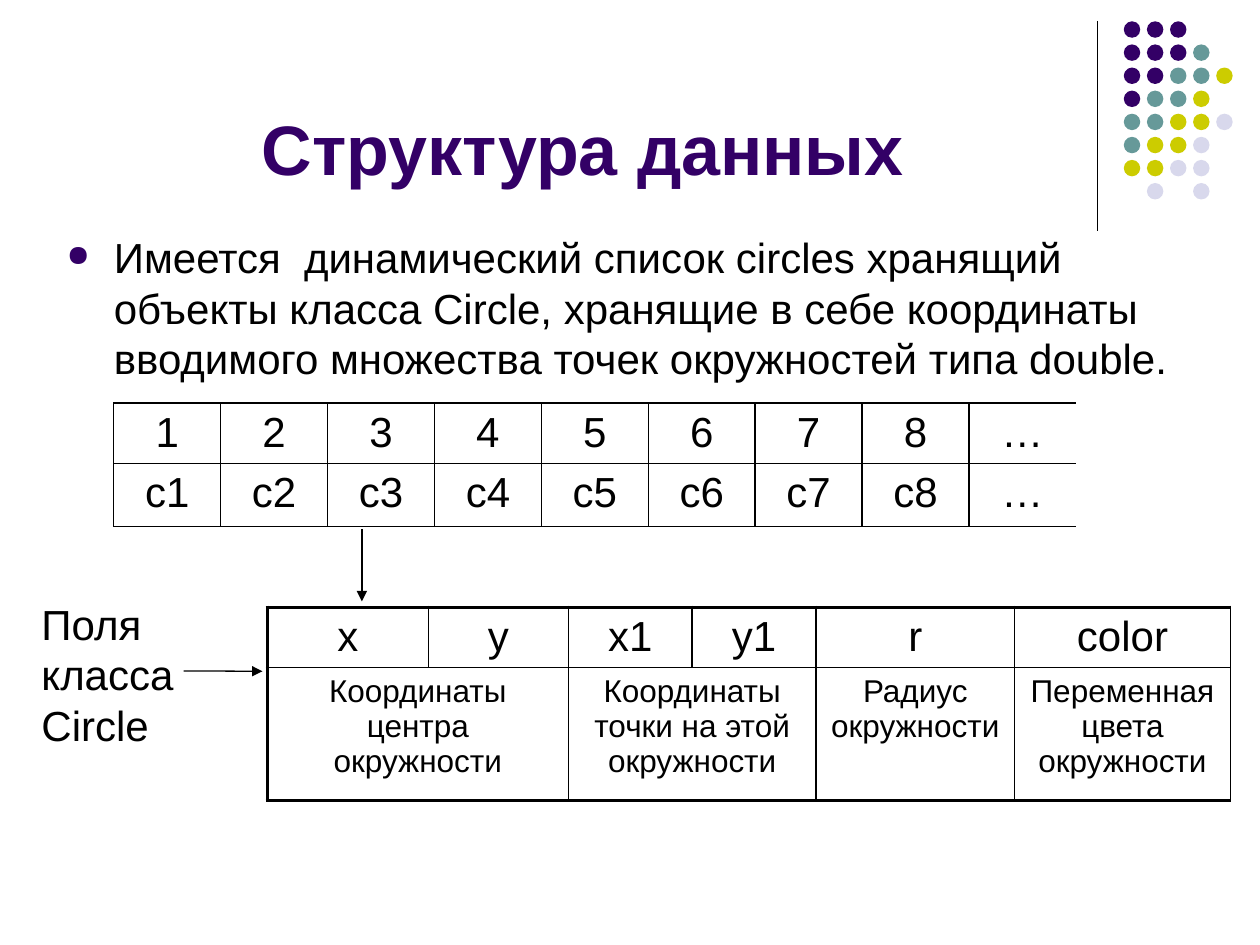
from lxml.etree import SubElement
from pptx import Presentation
from pptx.dml.color import RGBColor
from pptx.enum.shapes import MSO_CONNECTOR as CONN, MSO_SHAPE as SHAPE
from pptx.enum.text import MSO_ANCHOR as ANCHOR, PP_ALIGN as ALIGN
from pptx.oxml.ns import qn
from pptx.util import Pt

BLACK = RGBColor(0x00, 0x00, 0x00)
PURPLE = RGBColor(0x33, 0x00, 0x66)
TEAL = RGBColor(0x66, 0x99, 0x99)
OLIVE = RGBColor(0xCC, 0xCC, 0x00)
LILAC = RGBColor(0xD8, 0xD8, 0xEC)

DOT_COLORS = {"P": PURPLE, "T": TEAL, "O": OLIVE, "L": LILAC}
DOT_ROWS = ["PPP", "PPPT", "PPTTO", "PTTO", "TTOOL", "TOOL", "OOLL", " L L"]


def style_text(tf, size, color=BLACK, bold=False, align=ALIGN.LEFT):
    for p in tf.paragraphs:
        p.alignment = align
        for r in p.runs:
            r.font.name = "Arial"
            r.font.size = Pt(size)
            r.font.bold = bold
            r.font.color.rgb = color


def add_text(s, box, text, size, **style):
    tf = s.shapes.add_textbox(*map(Pt, box)).text_frame
    tf.word_wrap = True
    tf.text = text
    style_text(tf, size, **style)
    return tf


def add_line(s, x1, y1, x2, y2, arrow=False):
    line = s.shapes.add_connector(CONN.STRAIGHT, *map(Pt, (x1, y1, x2, y2)))
    line.line.color.rgb = BLACK
    line.line.width = Pt(0.75)
    if arrow:
        SubElement(line.line._get_or_add_ln(), qn("a:tailEnd"), type="triangle")
    SubElement(line._element.spPr, qn("a:effectLst"))


def add_dots(s, left, top, pitch=13.2, size=9.4):
    for row, codes in enumerate(DOT_ROWS):
        for col, code in enumerate(codes):
            if code == " ":
                continue
            box = (left + col * pitch, top + row * pitch, size, size)
            dot = s.shapes.add_shape(SHAPE.OVAL, *map(Pt, box))
            dot.shadow.inherit = False
            dot.fill.solid()
            dot.fill.fore_color.rgb = DOT_COLORS[code]
            dot.line.fill.background()


def add_body(s, box, text):
    tf = add_text(s, box, text, 24)
    p = tf.paragraphs[0]
    p.space_before = Pt(2)
    pPr = p._p.get_or_add_pPr()
    pPr.set("marL", str(Pt(27)))
    pPr.set("indent", str(-Pt(27)))
    color = SubElement(pPr, qn("a:buClr"))
    SubElement(color, qn("a:srgbClr"), val=str(PURPLE))
    SubElement(pPr, qn("a:buSzPct"), val="70000")
    SubElement(pPr, qn("a:buChar"), char="●")


def set_borders(cell, widths):
    tcPr = cell._tc.get_or_add_tcPr()
    for index, (side, width) in enumerate(zip("LRTB", widths)):
        ln = SubElement(tcPr, qn(f"a:ln{side}"), w=str(Pt(width)))
        tcPr.remove(ln)
        tcPr.insert(index, ln)
        if width:
            fill = SubElement(ln, qn("a:solidFill"))
            SubElement(fill, qn("a:srgbClr"), val=str(BLACK))
        else:
            SubElement(ln, qn("a:noFill"))


def add_grid(s, left, top, cols, heights, rows, sizes, edges):
    frame = s.shapes.add_table(len(rows), len(cols), Pt(left), Pt(top),
                               Pt(sum(cols)), Pt(sum(heights)))
    table = frame.table
    table.first_row = table.horz_banding = False
    for column, width in zip(table.columns, cols):
        column.width = Pt(width)
    for row, height in zip(table.rows, heights):
        row.height = Pt(height)
    left_edge, right_edge, top_edge, bottom_edge = edges
    last_row, last_col = len(rows) - 1, len(cols) - 1
    for i, texts in enumerate(rows):
        for j, text in enumerate(texts):
            cell = table.cell(i, j)
            cell.fill.background()
            cell.margin_bottom = Pt(2)
            cell.text = text or ""
            style_text(cell.text_frame, sizes[i], align=ALIGN.CENTER)
            set_borders(cell, (left_edge if j == 0 else 1,
                               right_edge if j == last_col else 1,
                               top_edge if i == 0 else 1,
                               bottom_edge if i == last_row else 1))
            if text is None:
                table.cell(i, j - 1).merge(cell)


def add_list_table(s, left, top):
    numbers = range(1, 9)
    rows = [[str(n) for n in numbers] + ["…"], [f"c{n}" for n in numbers] + ["…"]]
    add_grid(s, left, top, [61.1] * 9, [33.7, 36], rows, [24, 24], (1, 0, 1, 1))


def add_fields_table(s, left, top):
    rows = [["x", "y", "x1", "y1", "r", "color"],
            ["Координаты центра окружности", None,
             "Координаты точки на этой окружности", None,
             "Радиус окружности", "Переменная цвета окружности"]]
    cols = [92, 80, 70.8, 70.8, 113.4, 123.4]
    add_grid(s, left, top, cols, [34, 76], rows, [24, 18], (2.25, 1, 2.25, 2.25))


def main():
    prs = Presentation()
    prs.slide_width, prs.slide_height = Pt(720), Pt(540)
    s = prs.slides.add_slide(prs.slide_layouts[6])
    add_line(s, 627, 12, 627, 132)
    add_dots(s, 642.2, 12.2)
    title = add_text(s, (36, 9.4, 594, 102.2), "Структура данных", 40,
                     color=PURPLE, bold=True, align=ALIGN.CENTER)
    title.vertical_anchor = ANCHOR.BOTTOM
    add_body(s, (31, 129, 653, 100),
             "Имеется  динамический список circles хранящий объекты класса Circle, "
             "хранящие в себе координаты вводимого множества точек окружностей типа double.")
    add_list_table(s, 65, 230.4)
    add_fields_table(s, 152.8, 347)
    add_line(s, 206.8, 302.4, 206.8, 343.6, arrow=True)
    add_line(s, 105, 383.4, 150, 383.6, arrow=True)
    add_text(s, (16.6, 338.4, 133.2, 94.3), "Поля класса Circle", 24)
    prs.save("out.pptx")


if __name__ == "__main__":
    main()
